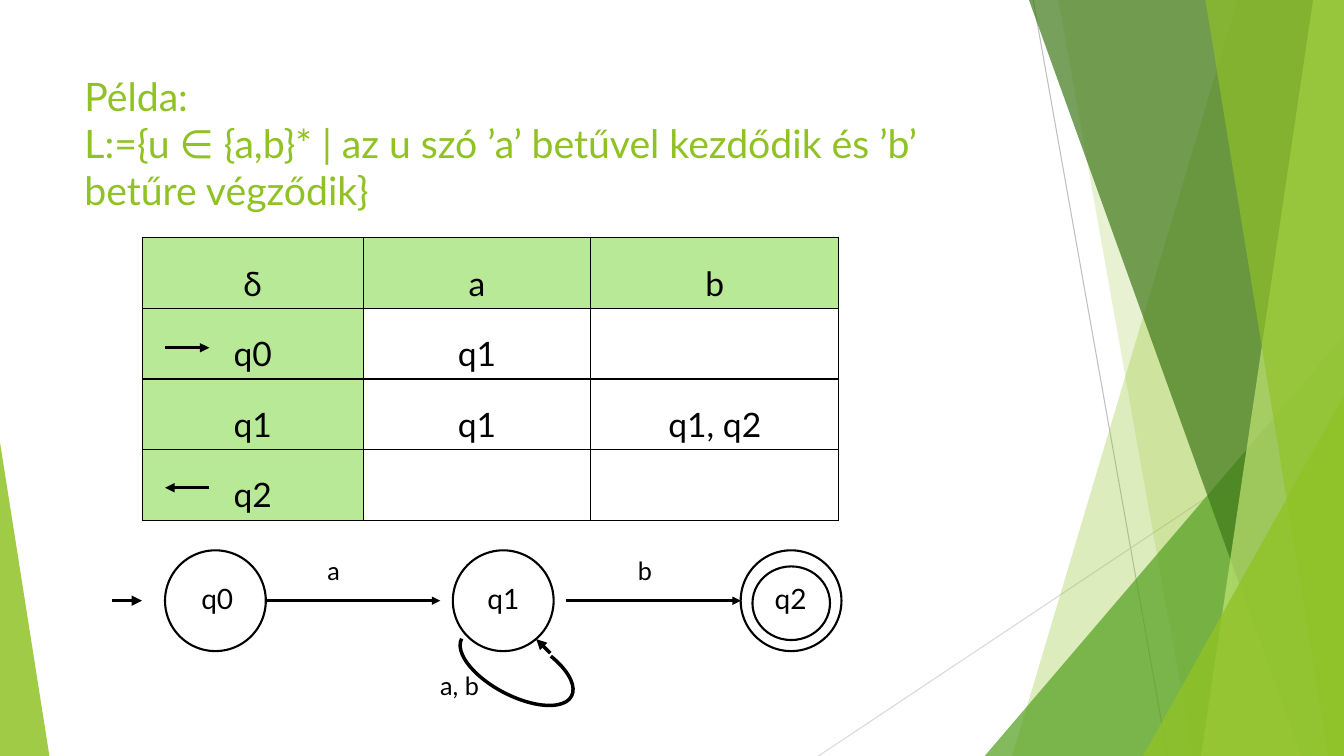
import pptx
import pptx.dml.color
import pptx.enum.shapes
import pptx.enum.text
import pptx.oxml
import pptx.oxml.ns
import pptx.util

Pt = pptx.util.Pt
SHAPES = pptx.enum.shapes.MSO_SHAPE
CENTER = pptx.enum.text.PP_ALIGN.CENTER
COLORS = {
    "lime": "90C226", "green": "54A021", "forest": "3F7819", "pale": "C0E474",
    "header": "B7E996", "ink": "000000", "gray": "BFBFBF", "silver": "D9D9D9",
}
SLIDE_BOX = (0, 0, 960, 540)


def rgb(name):
    return pptx.dml.color.RGBColor.from_string(COLORS[name])


def add_xml(parent, tag, index=None, inner="", **attributes):
    listed = "".join(f' {key}="{value}"' for key, value in attributes.items())
    element = pptx.oxml.parse_xml(
        f"<a:{tag} {pptx.oxml.ns.nsdecls('a')}{listed}>{inner}</a:{tag}>")
    parent.insert(len(parent) if index is None else index, element)


def write(frame, text, size=20, color="ink", align=None, spacing=None):
    paragraph = frame.paragraphs[0]
    paragraph.text = text
    paragraph.alignment = align
    paragraph.line_spacing = spacing
    for run in paragraph.runs:
        run.font.size = Pt(size)
        run.font.name = "Lato"
        run.font.color.rgb = rgb(color)


def add_label(slide, box, text, **text_format):
    frame = slide.shapes.add_textbox(*map(Pt, box)).text_frame
    frame.word_wrap = True
    write(frame, text, **text_format)


def add_line(slide, start, end, width, color="ink", arrow=True):
    line = slide.shapes.add_connector(
        pptx.enum.shapes.MSO_CONNECTOR.STRAIGHT, *map(Pt, (*start, *end)))
    line.line.width = Pt(width)
    line.line.color.rgb = rgb(color)
    properties = line.line._get_or_add_ln()
    if arrow:
        add_xml(properties, "tailEnd", type="triangle")
    add_xml(properties.getparent(), "effectLst")


def add_outline(slide, kind, box, width=1.5):
    outline = slide.shapes.add_shape(kind, *map(Pt, box))
    outline.shadow.inherit = False
    outline.fill.background()
    outline.line.color.rgb = rgb("ink")
    outline.line.width = Pt(width)
    return outline


def tint(facet, color, opacity):
    facet.shadow.inherit = False
    facet.line.fill.background()
    facet.fill.solid()
    facet.fill.fore_color.rgb = rgb(color)
    color_element = facet.fill._xPr.find(".//" + pptx.oxml.ns.qn("a:srgbClr"))
    add_xml(color_element, "alpha", val=opacity * 1000)


def add_band(slide, box, top_x, bottom_x, color, opacity):
    """Fill from a slanted left edge to the right side of the box."""
    left, top, width, height = box
    right, bottom = left + width, top + height
    corners = [(right, top), (right, bottom), (left + bottom_x, bottom)]
    builder = slide.shapes.build_freeform(Pt(left + top_x), Pt(top))
    builder.add_line_segments([(Pt(x), Pt(y)) for x, y in corners])
    tint(builder.convert_to_shape(), color, opacity)


def add_corner(slide, box, x, width, height, apex, color, opacity):
    """Stand a triangle on the bottom edge of the box."""
    left, top, _, box_height = box
    corner = slide.shapes.add_shape(
        SHAPES.ISOSCELES_TRIANGLE,
        *map(Pt, (left + x, top + box_height - height, width, height)))
    corner.adjustments[0] = apex
    tint(corner, color, opacity)


def draw_facets(slide, box):
    left, top, width, height = box
    add_line(slide, (left + 738, top), (left + 834, top + height), 0.75, "gray", False)
    add_line(slide, (left + width, top + 290), (left + 584.6, top + height),
             0.75, "silver", False)
    add_band(slide, box, 884, 723, "lime", 30)
    add_band(slide, box, 756, 852, "lime", 20)
    add_corner(slide, box, 703.4, 256.6, 300.2, 1, "green", 72)
    add_band(slide, box, 735, 929.5, "forest", 70)
    add_band(slide, box, 938, 858, "pale", 70)
    add_band(slide, box, 861, 949, "lime", 65)
    add_corner(slide, box, 816.5, 143.5, 257, 1, "lime", 80)
    add_corner(slide, box, 0, 35.3, 224, 0, "lime", 85)


def border_cell(cell):
    properties = cell._tc.get_or_add_tcPr()
    ink = f'<a:solidFill><a:srgbClr val="{COLORS["ink"]}"/></a:solidFill>'
    for index, side in enumerate(("lnL", "lnR", "lnT", "lnB")):
        add_xml(properties, side, index, ink, w=Pt(1))


def draw_transitions(slide, box):
    left, top, width, height = box
    rows = [("δ", "a", "b"), ("q0", "q1", ""), ("q1", "q1", "q1, q2"), ("q2", "", "")]
    row_height = height / len(rows)
    table = slide.shapes.add_table(len(rows), 3, *map(Pt, box)).table
    table.first_row = table.horz_banding = False
    for column, column_width in zip(table.columns, (157.9, 162.7, 177)):
        column.width = Pt(column_width)
    for r, row in enumerate(rows):
        table.rows[r].height = Pt(row_height)
        for c, text in enumerate(row):
            cell = table.cell(r, c)
            if r == 0 or c == 0:
                cell.fill.solid()
                cell.fill.fore_color.rgb = rgb("header")
            else:
                cell.fill.background()
            border_cell(cell)
            if text:
                write(cell.text_frame, text, size=24, align=CENTER, spacing=1.5)

    # Start and accepting state marks
    near, far = left + 16.5, left + 48
    start_y, accept_y = top + 78.5, top + 178.5
    add_line(slide, (near, start_y), (far, start_y), 2.25)
    add_line(slide, (far, accept_y), (near, accept_y), 2.25)


def draw_automaton(slide, box):
    left, top, width, height = box
    state, step = 72, 205.6
    first = left + 38
    axis = top + state / 2

    # States
    for index, label_x in enumerate((18.8, 17.5, 17.2)):
        x = first + index * step
        add_outline(slide, SHAPES.OVAL, (x, top, state, state))
        add_label(slide, (x + label_x, top + 18.5, 48, 32), f"q{index}")
    add_outline(slide, SHAPES.OVAL, (first + 2 * step + 8.4, top + 11.5, 55.4, 52.6))

    # Transitions
    add_line(slide, (left, axis), (left + 21.6, axis), 2.5)
    for x, label_x, symbol in ((110, 146.9, "a"), (324.7, 368.6, "b")):
        add_line(slide, (left + x, axis), (left + x + 124.6, axis), 2)
        add_label(slide, (left + label_x, top, 24, 29), symbol, size=18)

    # Loop on q1
    loop = add_outline(slide, SHAPES.ARC, (left + 244.8, top + 63.4, 88.6, 40.3), 2.5)
    loop.rotation = 207.6
    loop.adjustments[0], loop.adjustments[1] = 80.58, 0
    add_line(slide, (left + 313.2, top + 73.4), (left + 303.1, top + 63.4), 2.5)
    add_label(slide, (left + 227.5, top + 82, 52, 29), "a, b", size=18)


def main():
    deck = pptx.Presentation()
    deck.slide_width, deck.slide_height = map(Pt, SLIDE_BOX[2:])
    slide = deck.slides.add_slide(deck.slide_layouts[6])
    draw_facets(slide, SLIDE_BOX)
    add_label(slide, (53.3, 48.2, 676.8, 103.7),
              "Példa: \vL:={u ∈ {a,b}* | az u szó ’a’ betűvel kezdődik és ’b’ betűre végződik}",
              size=28, color="lime")
    draw_transitions(slide, (101.5, 169.9, 497.6, 201.6))
    draw_automaton(slide, (79.9, 393.1, 521, 111))
    deck.save("out.pptx")


if __name__ == "__main__":
    main()
